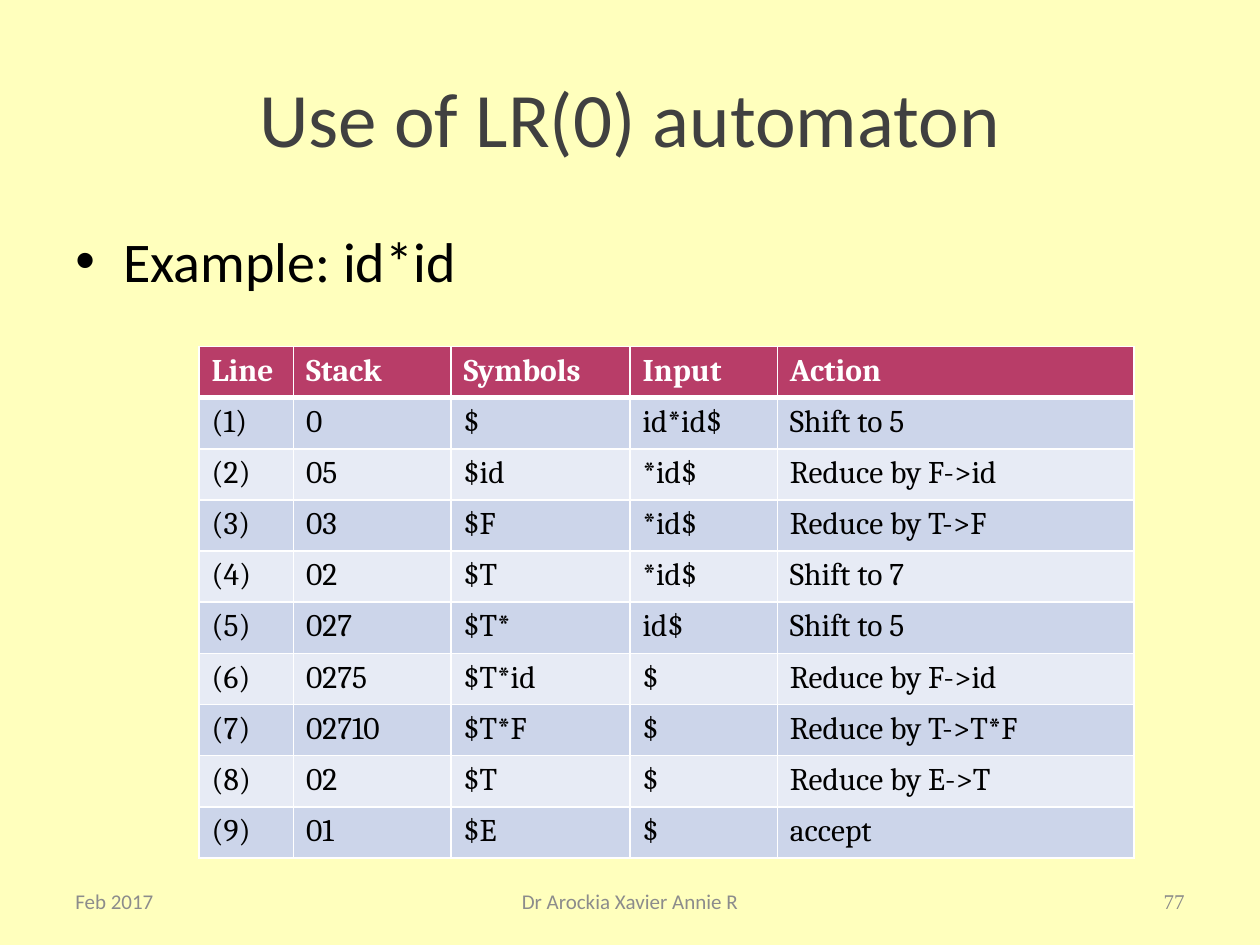
from dataclasses import dataclass

from lxml.etree import SubElement
from pptx import Presentation
from pptx.dml.color import RGBColor
from pptx.enum.text import MSO_ANCHOR, PP_ALIGN
from pptx.oxml.ns import qn
from pptx.util import Inches, Pt


@dataclass(frozen=True)
class Theme:
    background: str = "FFFFBD"
    title: str = "404040"
    body: str = "000000"
    footer: str = "8C8C8C"
    page_number: str = "898989"
    header_fill: str = "B83D68"
    header_text: str = "FFFFFF"
    row_fills: tuple = ("CCD5EA", "E7EBF5")
    grid: str = "FFFFFF"
    sans: str = "Calibri"
    serif: str = "Cambria"
    number_font: str = "Times New Roman"
    title_size: int = 44
    body_size: int = 32
    table_size: int = 18
    footer_size: int = 12


THEME = Theme()

HEADINGS = ("Line", "Stack", "Symbols", "Input", "Action")
COLUMN_WIDTHS = (0.75, 1.25, 1.42, 1.17, 2.83)
PARSE_STEPS = (
    ("0", "$", "id*id$", "Shift to 5"),
    ("05", "$id", "*id$", "Reduce by F->id"),
    ("03", "$F", "*id$", "Reduce by T->F"),
    ("02", "$T", "*id$", "Shift to 7"),
    ("027", "$T*", "id$", "Shift to 5"),
    ("0275", "$T*id", "$", "Reduce by F->id"),
    ("02710", "$T*F", "$", "Reduce by T->T*F"),
    ("02", "$T", "$", "Reduce by E->T"),
    ("01", "$E", "$", "accept"),
)


def write_text(frame, text, *, size, color, font=THEME.sans, bold=False,
               align=PP_ALIGN.LEFT, bullet=None, indent=0.38):
    """Write one formatted paragraph into a text frame."""
    paragraph = frame.paragraphs[0]
    paragraph.text = text
    paragraph.alignment = align
    if bullet:
        properties = paragraph._p.get_or_add_pPr()
        properties.set("marL", str(Inches(indent)))
        properties.set("indent", str(-Inches(indent)))
        SubElement(properties, qn("a:buFont"), typeface="Arial")
        SubElement(properties, qn("a:buChar"), char=bullet)
    run_font = paragraph.runs[0].font
    run_font.name = font
    run_font.size = Pt(size)
    run_font.bold = bold
    run_font.color.rgb = RGBColor.from_string(color)


def add_text(slide, box, text, *, anchor=MSO_ANCHOR.MIDDLE, **text_format):
    frame = slide.shapes.add_textbox(*map(Inches, box)).text_frame
    frame.word_wrap = True
    frame.vertical_anchor = anchor
    write_text(frame, text, **text_format)


def set_borders(cell, **widths):
    """Draw the cell's borders; the keywords give each side's width in points."""
    properties = cell._tc.get_or_add_tcPr()
    for position, side in enumerate(("lnL", "lnR", "lnT", "lnB")):
        line = properties.makeelement(qn(f"a:{side}"), {"w": str(Pt(widths.get(side, 1)))})
        fill = SubElement(line, qn("a:solidFill"))
        SubElement(fill, qn("a:srgbClr"), val=THEME.grid)
        properties.insert(position, line)


def add_heading(slide, box):
    add_text(slide, box, "Use of LR(0) automaton", size=THEME.title_size,
             color=THEME.title, align=PP_ALIGN.CENTER)


def add_example(slide, box):
    add_text(slide, box, "Example: id*id", size=THEME.body_size,
             color=THEME.body, anchor=MSO_ANCHOR.TOP, bullet="•")


def add_parse_table(slide, box):
    rows = [HEADINGS]
    rows += [(f"({number})", *step) for number, step in enumerate(PARSE_STEPS, 1)]
    table = slide.shapes.add_table(len(rows), len(HEADINGS), *map(Inches, box)).table
    for column, width in zip(table.columns, COLUMN_WIDTHS):
        column.width = Inches(width)
    for row_index, values in enumerate(rows):
        table.rows[row_index].height = Inches(box[3] / len(rows))
        is_header = row_index == 0
        fill = THEME.header_fill if is_header else THEME.row_fills[(row_index - 1) % 2]
        for column_index, value in enumerate(values):
            cell = table.cell(row_index, column_index)
            cell.fill.solid()
            cell.fill.fore_color.rgb = RGBColor.from_string(fill)
            set_borders(cell, lnT=3 if row_index == 1 else 1, lnB=3 if is_header else 1)
            write_text(cell.text_frame, value, size=THEME.table_size,
                       color=THEME.header_text if is_header else THEME.body,
                       font=THEME.serif, bold=is_header)


def add_footer(slide, box):
    left, top, width, height = box
    side, middle = 2.33, 3.17
    add_text(slide, (left, top, side, height), "Feb 2017",
             size=THEME.footer_size, color=THEME.footer)
    add_text(slide, (left + (width - middle) / 2, top, middle, height),
             "Dr Arockia Xavier Annie R", size=THEME.footer_size,
             color=THEME.footer, align=PP_ALIGN.CENTER)
    add_text(slide, (left + width - side, top, side, height), "77",
             size=THEME.footer_size, color=THEME.page_number,
             font=THEME.number_font, align=PP_ALIGN.RIGHT)


def main():
    presentation = Presentation()
    presentation.slide_width = Inches(10)
    presentation.slide_height = Inches(7.5)
    slide = presentation.slides.add_slide(presentation.slide_layouts[6])
    slide.background.fill.solid()
    slide.background.fill.fore_color.rgb = RGBColor.from_string(THEME.background)

    # Title and example
    add_heading(slide, (0.5, 0.3, 9, 1.25))
    add_example(slide, (0.5, 1.75, 9, 4.95))
    # Footer line
    add_footer(slide, (0.5, 6.95, 9, 0.4))
    # Parsing steps
    add_parse_table(slide, (1.58, 2.75, sum(COLUMN_WIDTHS), 4.06))

    presentation.save("out.pptx")


if __name__ == "__main__":
    main()
